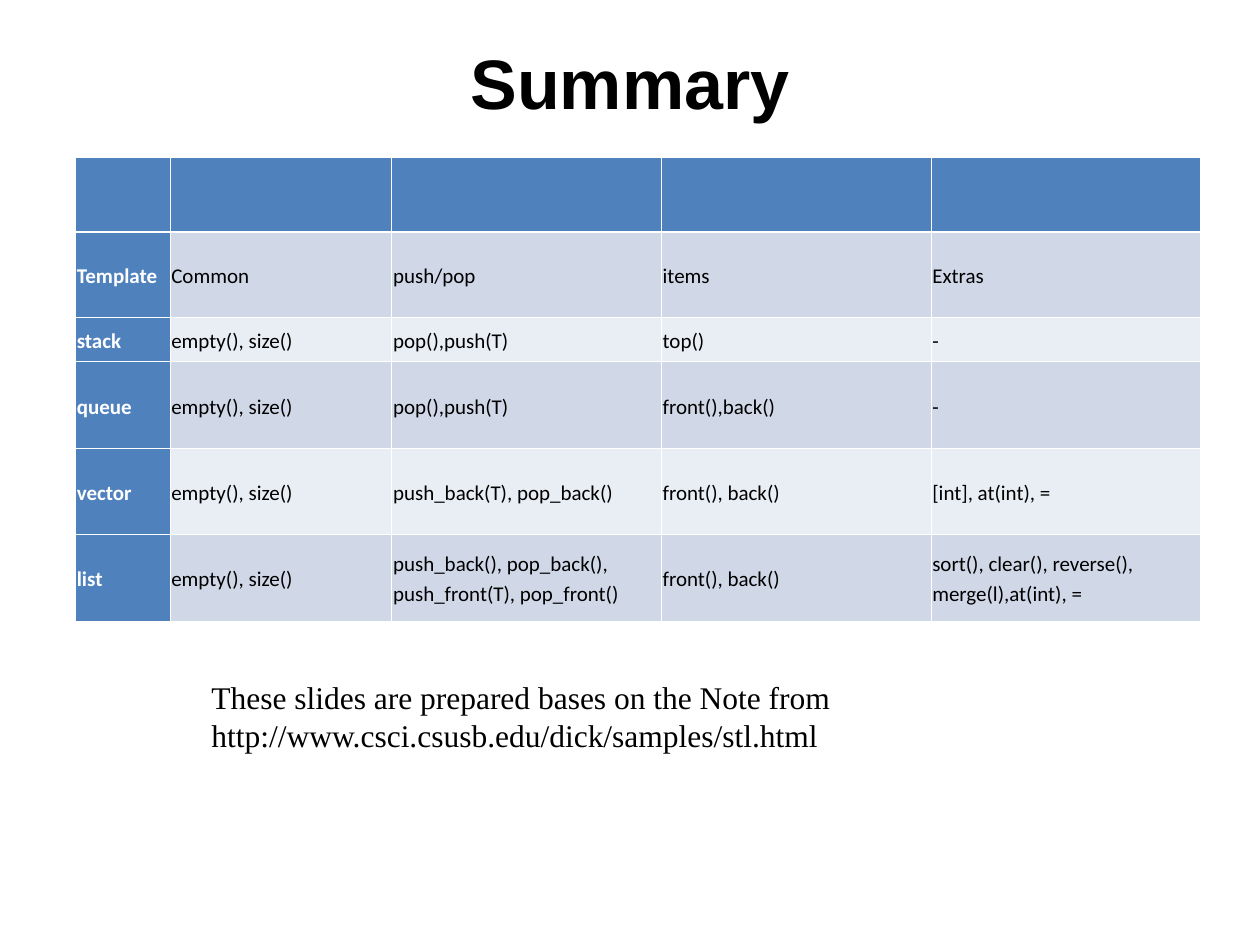
from dataclasses import dataclass
from typing import NamedTuple

from lxml.etree import SubElement
from pptx import Presentation
from pptx.dml.color import RGBColor as RGB
from pptx.enum.text import MSO_ANCHOR as Anchor, PP_ALIGN as Align
from pptx.oxml.ns import qn
from pptx.util import Inches, Pt


@dataclass(frozen=True)
class Theme:
    ink: str = "000000"
    white: str = "FFFFFF"
    blue: str = "4F81BD"
    bands: tuple = ("D0D8E8", "E9EDF4")
    thin: float = 0.45
    thick: float = 1.47


class Face(NamedTuple):
    name: str
    size: float
    color: str
    bold: bool = False


class Box(NamedTuple):
    left: float
    top: float
    width: float
    height: float


THEME = Theme()
TITLE = Face("Arial", 40, THEME.ink, True)
NOTE = Face("Times New Roman", 18, THEME.ink)
BODY = Face("Calibri", 12, THEME.ink)
HEAD = Face("Calibri", 12, THEME.white, True)

COLS = (0.75, 1.76, 2.14, 2.14, 2.14)
ROWS = (0.59, 0.68, 0.35, 0.69, 0.68, 0.69)
COMMON = "empty(), size()"
CELLS = (
    ("",) * len(COLS),
    ("Template", "Common", "push/pop", "items", "Extras"),
    ("stack", COMMON, "pop(),push(T)", "top()", "-"),
    ("queue", COMMON, "pop(),push(T)", "front(),back()", "-"),
    ("vector", COMMON, "push_back(T), pop_back()", "front(), back()",
     "[int], at(int), ="),
    ("list", COMMON, "push_back(), pop_back(), push_front(T), pop_front()",
     "front(), back()", "sort(), clear(), reverse(), merge(l),at(int), ="),
)


def style(para, face: Face) -> None:
    font = para.font
    font.name, font.size, font.bold = face.name, Pt(face.size), face.bold
    font.color.rgb = RGB.from_string(face.color)


def add_text(slide, box: Box, lines: tuple, face: Face,
             align=Align.LEFT, anchor=Anchor.TOP) -> None:
    frame = slide.shapes.add_textbox(*map(Inches, box)).text_frame
    frame.word_wrap = True
    frame.vertical_anchor = anchor
    frame.text = "\n".join(lines)
    for para in frame.paragraphs:
        para.alignment = align
        style(para, face)


def add_edges(cell, top: float, bottom: float) -> None:
    """Draw white borders; this must come before the cell's fill."""
    props = cell._tc.get_or_add_tcPr()
    widths = {"L": THEME.thin, "R": THEME.thin, "T": top, "B": bottom}
    for side, width in widths.items():
        line = SubElement(props, qn(f"a:ln{side}"), w=str(Pt(width)))
        fill = SubElement(line, qn("a:solidFill"))
        SubElement(fill, qn("a:srgbClr"), val=THEME.white)


def fill_cell(cell, text: str, row: int, col: int) -> None:
    add_edges(cell, THEME.thick if row == 1 else THEME.thin,
              THEME.thick if row == 0 else THEME.thin)
    head = row == 0 or col == 0
    color = THEME.blue if head else THEME.bands[(row - 1) % 2]
    cell.fill.solid()
    cell.fill.fore_color.rgb = RGB.from_string(color)
    cell.margin_left = cell.margin_right = Inches(0.01)
    cell.vertical_anchor = Anchor.MIDDLE
    cell.text = text
    para = cell.text_frame.paragraphs[0]
    para.line_spacing = 1.15
    style(para, HEAD if head else BODY)


def add_grid(slide, left: float, top: float) -> None:
    table = slide.shapes.add_table(
        len(ROWS), len(COLS), Inches(left), Inches(top),
        Inches(sum(COLS)), Inches(sum(ROWS))).table
    table.first_col = True
    for col, width in zip(table.columns, COLS):
        col.width = Inches(width)
    for r, (height, texts) in enumerate(zip(ROWS, CELLS)):
        table.rows[r].height = Inches(height)
        for c, text in enumerate(texts):
            fill_cell(table.cell(r, c), text, r, c)


def main() -> None:
    deck = Presentation()
    deck.slide_width, deck.slide_height = Inches(10), Inches(7.5)
    slide = deck.slides.add_slide(deck.slide_layouts[6])
    add_text(slide, Box(0.5, 0.3, 9, 0.7), ("Summary",), TITLE,
             Align.CENTER, Anchor.MIDDLE)
    add_grid(slide, 0.6, 1.25)
    add_text(slide, Box(1.58, 5.33, 6.83, 0.7),
             ("These slides are prepared bases on the Note from",
              "http://www.csci.csusb.edu/dick/samples/stl.html"), NOTE)
    deck.save("out.pptx")


if __name__ == "__main__":
    main()
